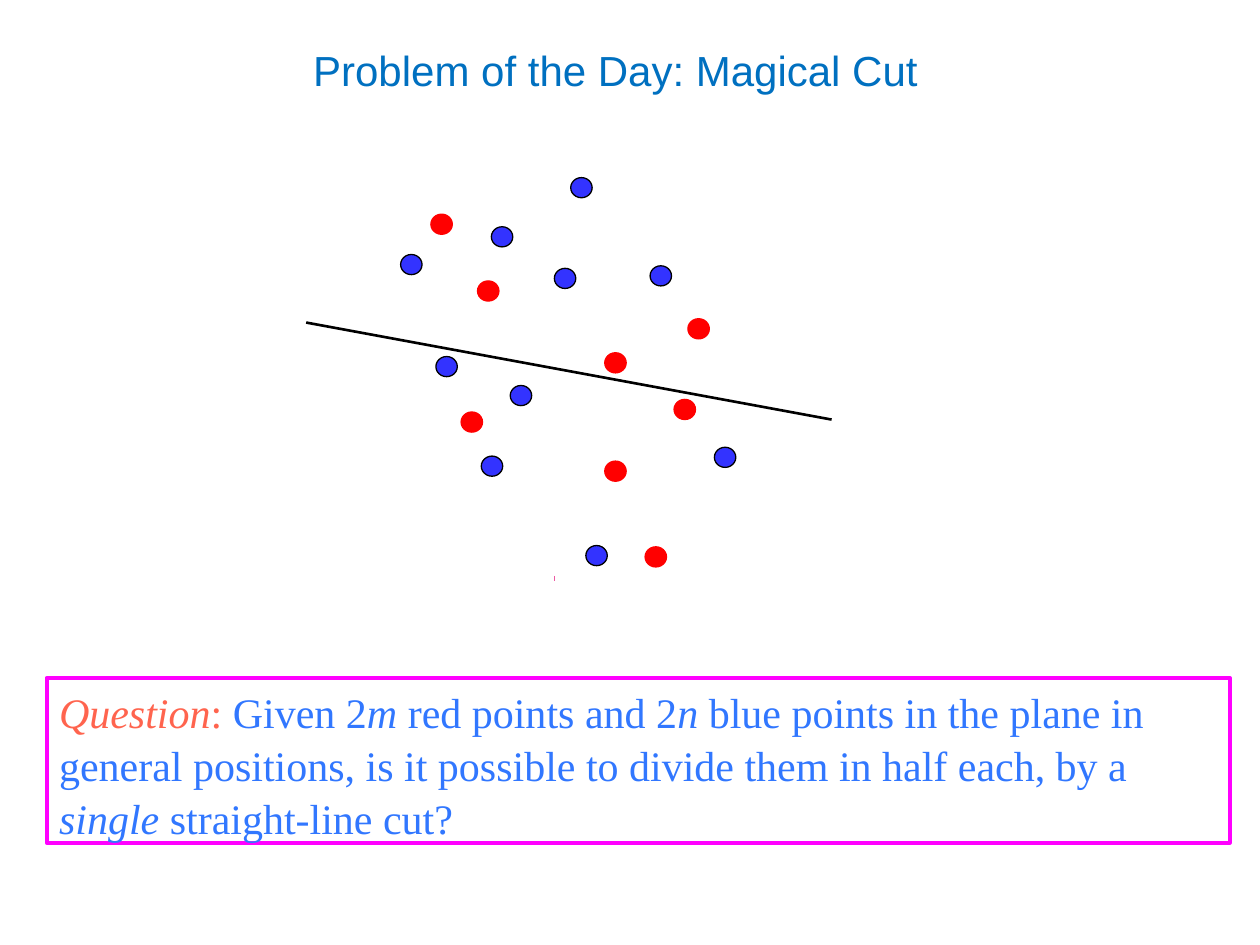
from lxml.etree import SubElement
from pptx import Presentation
from pptx.dml.color import RGBColor
from pptx.enum.shapes import MSO_CONNECTOR, MSO_SHAPE
from pptx.enum.text import MSO_ANCHOR, MSO_AUTO_SIZE, PP_ALIGN
from pptx.oxml.ns import qn
from pptx.util import Inches, Pt

BLACK = RGBColor(0x00, 0x00, 0x00)
RED = RGBColor(0xFF, 0x00, 0x00)
BLUE = RGBColor(0x33, 0x33, 0xFF)
PINK = RGBColor(0xED, 0x59, 0xA3)
MAGENTA = RGBColor(0xFF, 0x00, 0xFF)
CORAL = RGBColor(0xFF, 0x64, 0x4E)
TEXT_BLUE = RGBColor(0x31, 0x77, 0xFF)
TITLE_BLUE = RGBColor(0x00, 0x70, 0xC0)

BLUE_POINTS = [(3.18, 2.02), (3.9, 1.8), (5.16, 2.11), (4.4, 2.13), (3.46, 2.83),
               (3.82, 3.62), (5.67, 3.55), (4.05, 3.06), (4.65, 4.33), (4.53, 1.41)]
RED_POINTS = [(3.42, 1.7), (3.79, 2.23), (4.8, 2.8), (5.46, 2.53),
              (3.66, 3.27), (5.35, 3.17), (5.12, 4.34), (4.8, 3.66)]
QUESTION = [("Question", CORAL, True), (":", CORAL, False),
            (" Given 2", TEXT_BLUE, False), ("m ", TEXT_BLUE, True),
            ("red points and 2", TEXT_BLUE, False), ("n ", TEXT_BLUE, True),
            ("blue points in the plane in general positions, is it possible "
             "to divide them in half each, by a ", TEXT_BLUE, False),
            ("single", TEXT_BLUE, True), (" straight-line cut?", TEXT_BLUE, False)]


class PuzzleSlide:
    """Holds the style and the current slide, and draws each kind of element."""

    title_font = "Arial"
    body_font = "Times New Roman"
    text_size = Pt(24)
    thin = Pt(0.75)

    def __init__(self, deck):
        self.slide = deck.slides.add_slide(deck.slide_layouts[5])
        self.shapes = self.slide.shapes

    def title(self, text, left, top, width, height):
        heading = self.shapes.title
        heading.left, heading.top = Inches(left), Inches(top)
        heading.width, heading.height = Inches(width), Inches(height)
        frame = heading.text_frame
        frame.margin_left = frame.margin_right = Inches(0.06)
        frame.margin_top = frame.margin_bottom = Inches(0.06)
        frame.vertical_anchor = MSO_ANCHOR.MIDDLE
        frame.auto_size = MSO_AUTO_SIZE.SHAPE_TO_FIT_TEXT
        frame.text = text
        line = frame.paragraphs[0]
        line.alignment = PP_ALIGN.CENTER
        line.font.name, line.font.size = self.title_font, self.text_size
        line.font.color.rgb = TITLE_BLUE

    def question(self, parts, left, top, width, height):
        box = self.shapes.add_shape(MSO_SHAPE.RECTANGLE, Inches(left), Inches(top),
                                    Inches(width), Inches(height))
        box.shadow.inherit = False
        box.fill.background()
        box.line.color.rgb, box.line.width = MAGENTA, Pt(2.25)
        frame = box.text_frame
        frame.word_wrap = True
        frame.vertical_anchor = MSO_ANCHOR.TOP
        frame.auto_size = MSO_AUTO_SIZE.SHAPE_TO_FIT_TEXT
        paragraph = frame.paragraphs[0]
        paragraph.alignment = PP_ALIGN.LEFT
        paragraph.line_spacing = 1.05
        paragraph.font.name, paragraph.font.size = self.body_font, self.text_size
        for text, color, italic in parts:
            run = paragraph.add_run()
            run.text = text
            run.font.color.rgb, run.font.italic = color, italic

    def points(self, positions, fill, outline, shapes):
        for left, top in positions:
            point = shapes.add_shape(MSO_SHAPE.OVAL, Inches(left), Inches(top),
                                     Inches(0.17), Inches(0.16))
            point.shadow.inherit = False
            point.fill.solid()
            point.fill.fore_color.rgb = fill
            point.line.color.rgb, point.line.width = outline, self.thin

    def cut(self, start, end, color, width):
        line = self.shapes.add_connector(MSO_CONNECTOR.STRAIGHT,
                                         *map(Inches, start + end))
        line.line.color.rgb, line.line.width = color, width
        SubElement(line._element.spPr, qn("a:effectLst"))


def main():
    deck = Presentation()
    deck.slide_width, deck.slide_height = Inches(10), Inches(7.5)
    puzzle = PuzzleSlide(deck)
    puzzle.title("Problem of the Day: Magical Cut", 0.01, 0.29, 9.75, 0.52)
    puzzle.question(QUESTION, 0.37, 5.38, 9.39, 1.31)
    puzzle.points(BLUE_POINTS, BLUE, BLACK, puzzle.shapes)
    puzzle.points(RED_POINTS, RED, RED, puzzle.shapes.add_group_shape().shapes)
    puzzle.cut((4.4, 4.57), (4.4, 4.61), PINK, puzzle.thin)
    puzzle.cut((2.43, 2.56), (6.6, 3.33), BLACK, Pt(1.5))
    deck.save("out.pptx")


if __name__ == "__main__":
    main()
